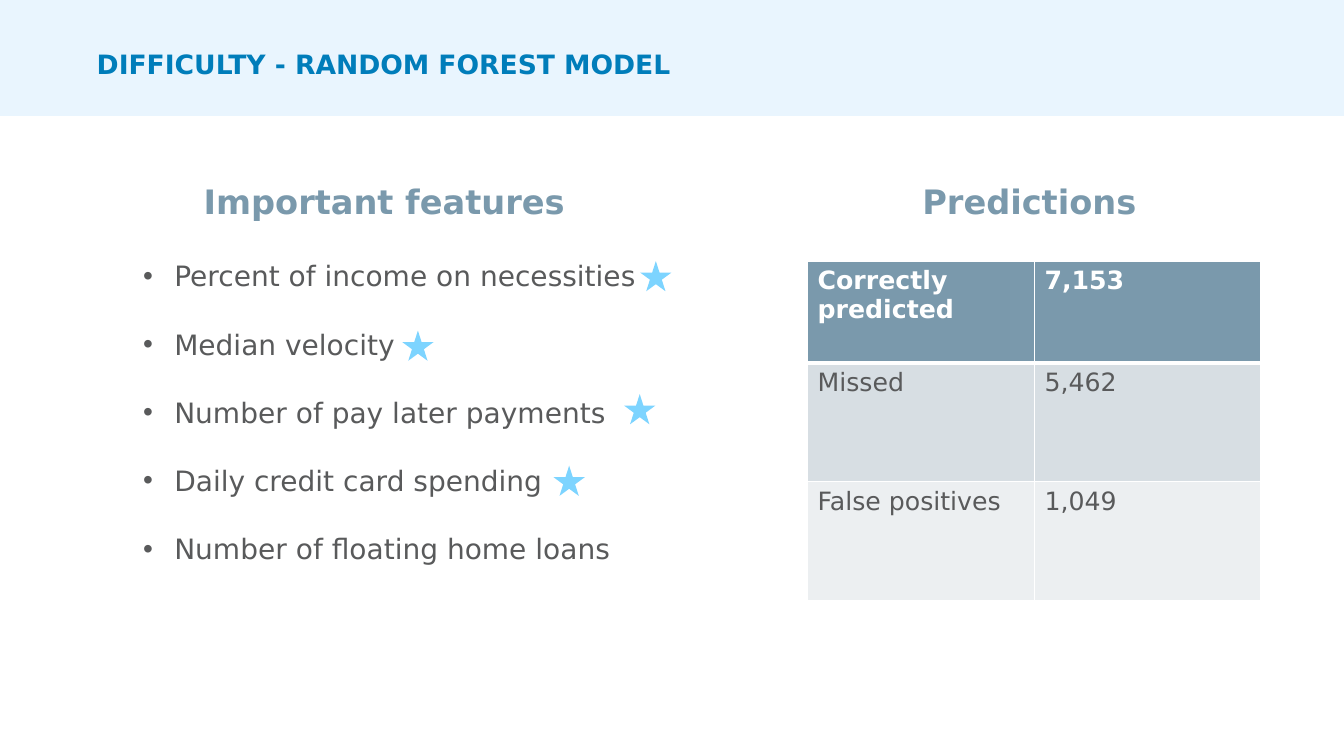
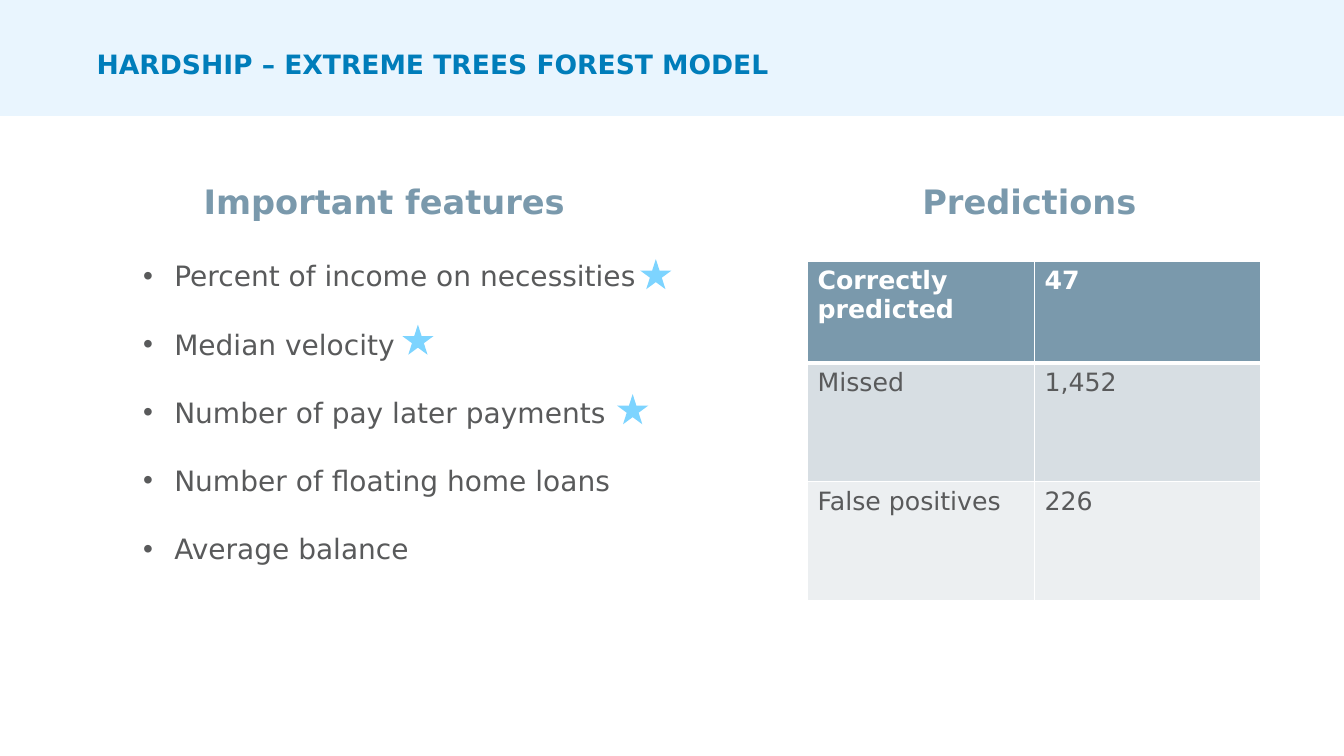
"""Build two slides that compare the features and predictions of two models."""
from dataclasses import dataclass
from lxml.etree import SubElement
from pptx import Presentation
from pptx.dml.color import RGBColor
from pptx.enum.shapes import MSO_SHAPE
from pptx.enum.text import PP_ALIGN
from pptx.oxml.ns import qn
from pptx.util import Inches, Pt

MODELS = [
    {
        "title": "DIFFICULTY - RANDOM FOREST MODEL",
        "features": [
            "Percent of income on necessities",
            "Median velocity",
            "Number of pay later payments",
            "Daily credit card spending",
            "Number of floating home loans",
        ],
        "stars": [(6.35, 2.59), (3.99, 3.28), (6.19, 3.91), (5.49, 4.62)],
        "counts": ["7,153", "5,462", "1,049"],
    },
    {
        "title": "HARDSHIP – EXTREME TREES FOREST MODEL",
        "features": [
            "Percent of income on necessities",
            "Median velocity",
            "Number of pay later payments",
            "Number of floating home loans",
            "Average balance",
        ],
        "stars": [(6.35, 2.57), (3.99, 3.22), (6.12, 3.91)],
        "counts": ["47", "1,452", "226"],
    },
]
LABELS = ["Correctly predicted", "Missed", "False positives"]
HEADS = [("Important features", (2.02, 1.79, 3.71, 0.63), PP_ALIGN.LEFT),
         ("Predictions", (8.01, 1.79, 4.4, 0.94), PP_ALIGN.CENTER)]
COLS = [2.25, 2.24]
ROWS = [1.01, 1.18, 1.18]


@dataclass(frozen=True)
class Theme:
    font: str = "DejaVu Sans"
    band: str = "E9F5FE"
    title: str = "007DBA"
    head: str = "7A99AC"
    body: str = "595A5B"
    star: str = "7DD4FF"
    white: str = "FFFFFF"
    rows: tuple = ("7A99AC", "D7DEE3", "ECEFF1")
    title_size: float = 19
    head_size: float = 24
    body_size: float = 20
    cell_size: float = 18


THEME = Theme()


def write(frame, text, size=THEME.body_size, color=THEME.body, bold=False,
          align=PP_ALIGN.LEFT, line=None, before=0, after=0, bullet=False):
    frame.word_wrap = True
    lines = [text] if isinstance(text, str) else text
    for i, words in enumerate(lines):
        para = frame.add_paragraph() if i else frame.paragraphs[0]
        para.alignment, para.line_spacing = align, line
        para.space_before, para.space_after = Pt(before), Pt(after)
        if bullet:
            props = para._p.get_or_add_pPr()
            props.set("marL", str(Inches(0.31)))
            props.set("indent", str(Inches(-0.31)))
            SubElement(props, qn("a:buFont"), typeface="Arial")
            SubElement(props, qn("a:buChar"), char="•")
        run = para.add_run()
        run.text = words
        font = run.font
        font.name, font.size, font.bold = THEME.font, Pt(size), bold
        font.color.rgb = RGBColor.from_string(color)


def add_text(slide, box, text, inset=True, **style):
    frame = slide.shapes.add_textbox(*map(Inches, box)).text_frame
    if not inset:
        frame.margin_left = frame.margin_right = 0
        frame.margin_top = frame.margin_bottom = 0
    write(frame, text, **style)


def add_block(slide, kind, box, color):
    shape = slide.shapes.add_shape(kind, *map(Inches, box))
    shape.shadow.inherit = False
    shape.fill.solid()
    shape.fill.fore_color.rgb = RGBColor.from_string(color)
    shape.line.fill.background()


def add_edges(cell, top, base):
    props = cell._tc.get_or_add_tcPr()
    widths = {"lnL": 1, "lnR": 1, "lnT": top, "lnB": base}
    for i, (tag, width) in enumerate(widths.items()):
        edge = props.makeelement(qn("a:" + tag), {"w": str(Pt(width))})
        fill = SubElement(edge, qn("a:solidFill"))
        SubElement(fill, qn("a:srgbClr"), val=THEME.white)
        props.insert(i, edge)


def add_counts(slide, counts):
    box = (8.01, 2.59, sum(COLS), sum(ROWS))
    table = slide.shapes.add_table(
        len(ROWS), len(COLS), *map(Inches, box)).table
    for col, width in zip(table.columns, COLS):
        col.width = Inches(width)
    for i, pair in enumerate(zip(LABELS, counts)):
        table.rows[i].height = Inches(ROWS[i])
        first = i == 0
        for j, text in enumerate(pair):
            cell = table.cell(i, j)
            cell.fill.solid()
            cell.fill.fore_color.rgb = RGBColor.from_string(THEME.rows[i])
            add_edges(cell, top=3 if i == 1 else 1, base=3 if first else 1)
            write(cell.text_frame, text, size=THEME.cell_size, bold=first,
                  color=THEME.white if first else THEME.body)


def add_model(deck, model):
    slide = deck.slides.add_slide(deck.slide_layouts[6])
    add_block(slide, MSO_SHAPE.RECTANGLE, (0, 0, 13.33, 1.15), THEME.band)
    add_text(slide, (0.96, 0.5, 11.67, 0.34), model["title"], inset=False,
             size=THEME.title_size, color=THEME.title, bold=True, line=0.95)
    for text, box, align in HEADS:
        add_text(slide, box, text, inset=False, size=THEME.head_size,
                 color=THEME.head, bold=True, align=align, before=6)
    add_text(slide, (1.32, 2.52, 5.12, 3.13), model["features"],
             after=24.7, bullet=True)
    for left, top in model["stars"]:
        add_block(slide, MSO_SHAPE.STAR_5_POINT,
                  (left, top, 0.31, 0.3), THEME.star)
    add_counts(slide, model["counts"])


def main():
    deck = Presentation()
    deck.slide_width, deck.slide_height = Inches(13.33), Inches(7.5)
    for model in MODELS:
        add_model(deck, model)
    deck.save("out.pptx")


if __name__ == "__main__":
    main()
